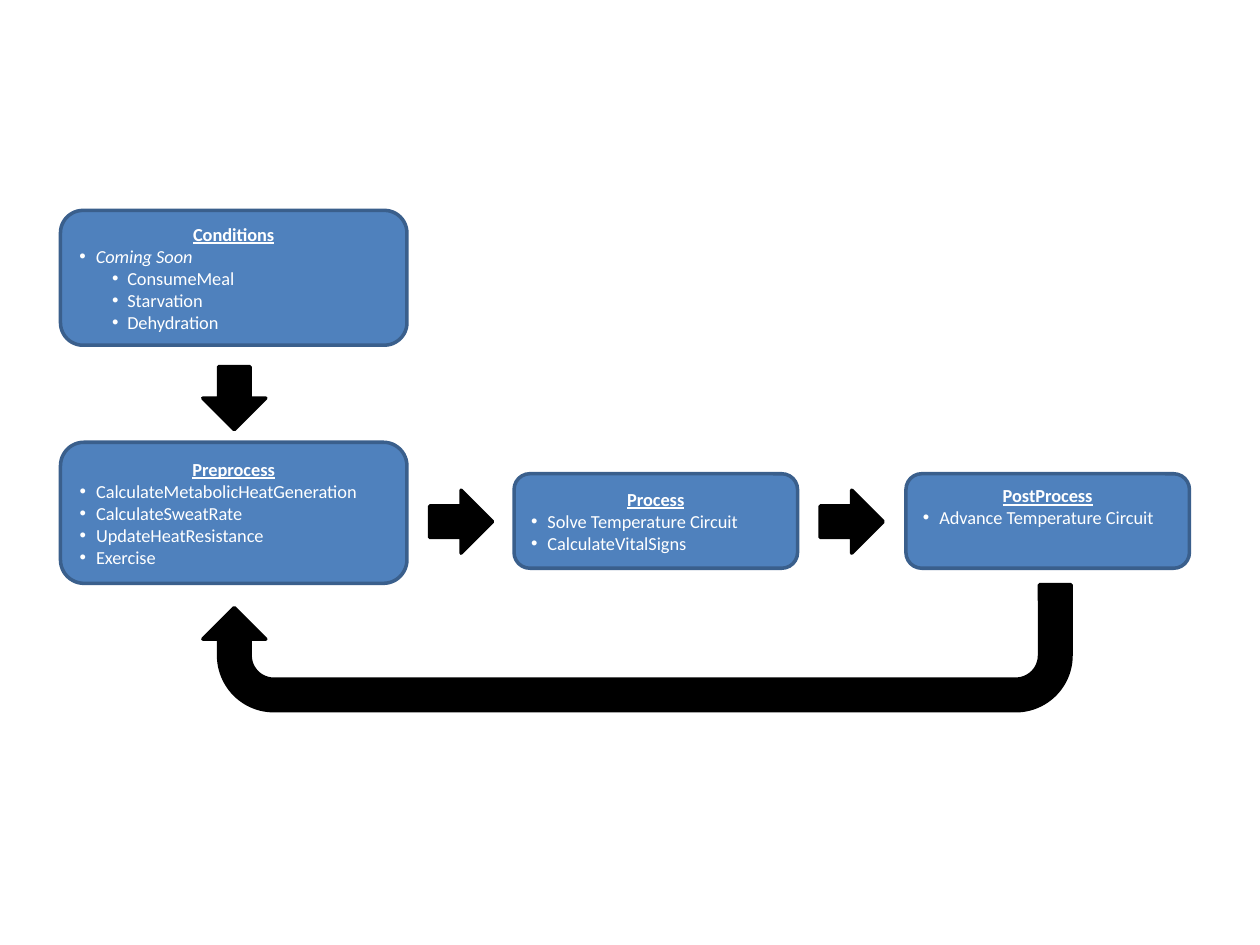
import pptx
import pptx.dml.color
import pptx.enum.shapes
import pptx.enum.text
import pptx.util
import lxml.etree

Inches, Pt = pptx.util.Inches, pptx.util.Pt
RGB = pptx.dml.color.RGBColor.from_string
SHAPE = pptx.enum.shapes.MSO_SHAPE
ANCHOR = pptx.enum.text.MSO_ANCHOR
ALIGN = pptx.enum.text.PP_ALIGN

THEME = {"box": "4F81BD", "edge": "3A5F8C", "arrow": "000000",
         "text": "FFFFFF", "font": "Calibri", "size": 10.5, "line": 2}
INDENTS = [(0.13, -0.13), (0.38, -0.12)]  # left margin and hanging indent by level

prs = pptx.Presentation()
prs.slide_width, prs.slide_height = Inches(10), Inches(7.5)
s = prs.slides.add_slide(prs.slide_layouts[6])


def add_block(kind, x, y, w, h, fill, edge):
    sp = s.shapes.add_shape(kind, Inches(x), Inches(y), Inches(w), Inches(h))
    sp.shadow.inherit = False
    sp.fill.solid()
    sp.fill.fore_color.rgb = RGB(THEME[fill])
    sp.line.color.rgb = RGB(THEME[edge])
    sp.line.width = Pt(THEME["line"])
    return sp


def add_text(p, text, bold=False, italic=False):
    r = p.add_run()
    r.text = text
    f = r.font
    f.name, f.size = THEME["font"], Pt(THEME["size"])
    f.bold, f.underline, f.italic = bold, bold, italic
    f.color.rgb = RGB(THEME["text"])


# Stages: position, size, anchor, title, items as (text, level, italic)
left, wide, narrow = 0.48, 2.75, 2.25
stages = [
    (left, 1.67, wide, 1.07, ANCHOR.MIDDLE, "Conditions",
     [("Coming Soon", 0, True), ("ConsumeMeal", 1, False),
      ("Starvation", 1, False), ("Dehydration", 1, False)]),
    (left, 3.51, wide, 1.12, ANCHOR.MIDDLE, "Preprocess",
     [("CalculateMetabolicHeatGeneration", 0, False), ("CalculateSweatRate", 0, False),
      ("UpdateHeatResistance", 0, False), ("Exercise", 0, False)]),
    (4.08, 3.76, narrow, 0.75, ANCHOR.MIDDLE, "Process",
     [("Solve Temperature Circuit", 0, False), ("CalculateVitalSigns", 0, False)]),
    (7.19, 3.76, narrow, 0.75, ANCHOR.TOP, "PostProcess",
     [("Advance Temperature Circuit", 0, False)]),
]
for x, y, w, h, anchor, title, items in stages:
    sp = add_block(SHAPE.ROUNDED_RECTANGLE, x, y, w, h, "box", "edge")
    tf = sp.text_frame
    tf.word_wrap = True
    tf.vertical_anchor = anchor
    tf.margin_top = tf.margin_bottom = Inches(0.05)
    p = tf.paragraphs[0]
    p.alignment = ALIGN.CENTER
    add_text(p, title, bold=True)
    for text, level, italic in items:
        p = tf.add_paragraph()
        p.alignment = ALIGN.LEFT
        p.level = level
        pPr = p._p.get_or_add_pPr()
        margin, indent = INDENTS[level]
        pPr.set("marL", str(Inches(margin)))
        pPr.set("indent", str(Inches(indent)))
        for tag, key, value in [("a:buFont", "typeface", "Arial"),
                                ("a:buChar", "char", "\u2022")]:
            lxml.etree.SubElement(pPr, pptx.oxml.ns.qn(tag)).set(key, value)
        add_text(p, text, italic=italic)

# Arrows between stages
for x, y, rotation in [(1.61, 2.91, 0), (3.41, 3.89, 270), (6.51, 3.89, 270)]:
    sp = add_block(SHAPE.DOWN_ARROW, x, y, 0.5, 0.5, "arrow", "arrow")
    sp.rotation = rotation

# Return arrow from the last stage to Preprocess
sp = add_block(SHAPE.U_TURN_ARROW, 1.61, 4.64, 6.89, 1, "arrow", "arrow")
sp.rotation = 180
for i, value in enumerate([0.25, 0.25, 0.25, 0.438, 0.818]):
    sp.adjustments[i] = value

prs.save("out.pptx")
